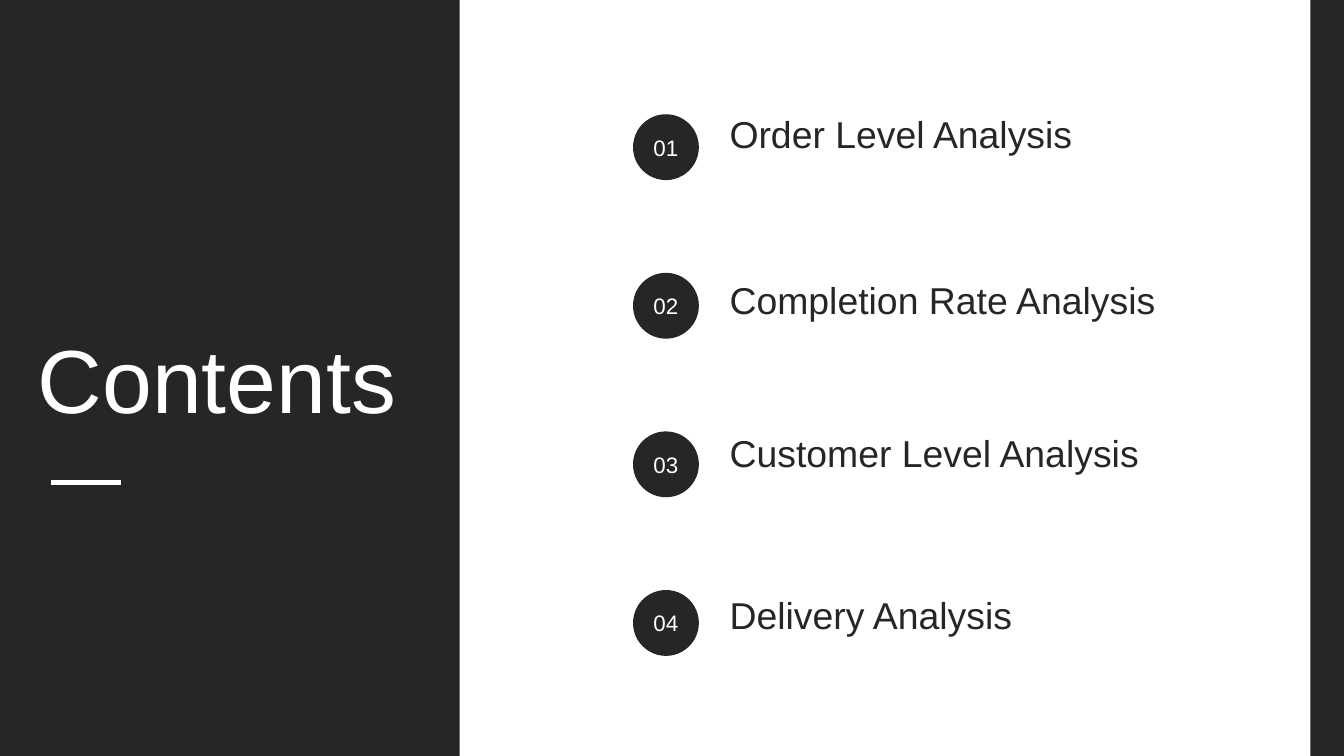
from dataclasses import dataclass

import pptx
import pptx.dml.color
import pptx.enum.shapes
import pptx.enum.text
import pptx.oxml.ns
import pptx.util
from lxml import etree
from pptx.util import Inches

DARK = "262626"
WHITE = "FFFFFF"
FONT = "Arial"
SLIDE_W = 10
SLIDE_H = SLIDE_W * 9 / 16
CIRCLE_LEFT, CIRCLE_TOP, CIRCLE_SIZE, CIRCLE_STEP = 4.71, 0.85, 0.49, 1.18
LABEL_LEFT, LABEL_H = 5.33, 0.44

Shape = pptx.enum.shapes.MSO_SHAPE
Anchor = pptx.enum.text.MSO_ANCHOR
Align = pptx.enum.text.PP_ALIGN


@dataclass
class Entry:
    label: str
    top: float
    width: float


ENTRIES = [
    Entry("Order Level Analysis", 0.78, 2.76),
    Entry("Completion Rate Analysis", 2.01, 3.38),
    Entry("Customer Level Analysis", 3.15, 3.25),
    Entry("Delivery Analysis", 4.36, 2.31),
]


def rgb(value: str) -> pptx.dml.color.RGBColor:
    return pptx.dml.color.RGBColor.from_string(value)


def set_text(sp, text: str, size: float, color: str, align=Align.LEFT) -> None:
    sp.text_frame.text = text
    p = sp.text_frame.paragraphs[0]
    p.alignment = align
    font = p.runs[0].font
    font.name = FONT
    font.size = pptx.util.Pt(size)
    font.color.rgb = rgb(color)


def fit_to_text(sp) -> None:
    tf = sp.text_frame
    tf.word_wrap = False
    tf.auto_size = pptx.enum.text.MSO_AUTO_SIZE.SHAPE_TO_FIT_TEXT
    tf.vertical_anchor = Anchor.TOP


def add_filled(s, kind, left: float, top: float, width: float, height: float):
    sp = s.shapes.add_shape(kind, Inches(left), Inches(top), Inches(width), Inches(height))
    sp.shadow.inherit = False
    sp.fill.solid()
    sp.fill.fore_color.rgb = rgb(DARK)
    sp.line.fill.background()
    return sp


def add_label(s, entry: Entry) -> None:
    sp = s.shapes.add_textbox(
        Inches(LABEL_LEFT), Inches(entry.top), Inches(entry.width), Inches(LABEL_H))
    set_text(sp, entry.label, 20, DARK)
    fit_to_text(sp)


def add_number(s, index: int) -> None:
    top = CIRCLE_TOP + index * CIRCLE_STEP
    sp = add_filled(s, Shape.OVAL, CIRCLE_LEFT, top, CIRCLE_SIZE, CIRCLE_SIZE)
    tf = sp.text_frame
    tf.margin_left = tf.margin_right = Inches(0.07)
    tf.margin_top = tf.margin_bottom = Inches(0.04)
    tf.vertical_anchor = Anchor.MIDDLE
    set_text(sp, f"{index + 1:02d}", 12, WHITE, Align.CENTER)


def add_rule(s, left: float, right: float, y: float) -> None:
    line = s.shapes.add_connector(
        pptx.enum.shapes.MSO_CONNECTOR.STRAIGHT,
        Inches(left), Inches(y), Inches(right), Inches(y))
    line.line.color.rgb = rgb(WHITE)
    line.line.width = pptx.util.Pt(3)
    etree.SubElement(line._element.spPr, pptx.oxml.ns.qn("a:effectLst"))


def main() -> None:
    prs = pptx.Presentation()
    prs.slide_width, prs.slide_height = Inches(SLIDE_W), Inches(SLIDE_H)
    s = prs.slides.add_slide(prs.slide_layouts[5])
    s.background.fill.solid()
    s.background.fill.fore_color.rgb = rgb(WHITE)

    # Side panels
    add_filled(s, Shape.RECTANGLE, 0, 0, 3.42, SLIDE_H)
    add_filled(s, Shape.RECTANGLE, 9.75, 0, 0.25, SLIDE_H)

    # Entry labels, then their numbered circles
    for entry in ENTRIES:
        add_label(s, entry)
    for index in range(len(ENTRIES)):
        add_number(s, index)

    # Title, raised above the left panel, and its rule
    title = s.shapes.title
    title.left, title.top = Inches(0.18), Inches(2.36)
    title.width, title.height = Inches(2.87), Inches(0.91)
    set_text(title, "Contents", 48, WHITE)
    fit_to_text(title)
    s.shapes._spTree.append(title._element)
    add_rule(s, 0.38, 0.9, 3.59)

    prs.save("out.pptx")


if __name__ == "__main__":
    main()
